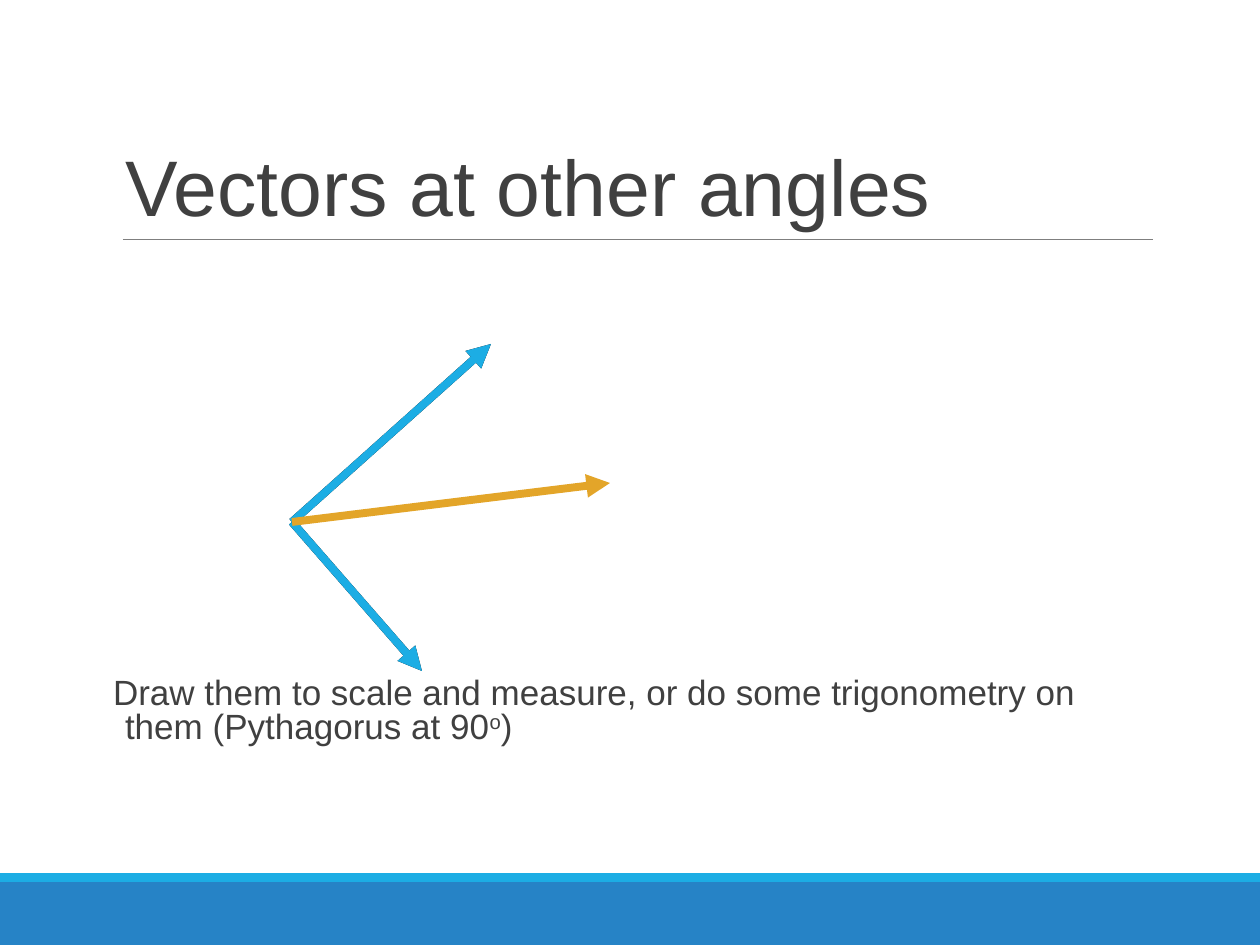
from dataclasses import dataclass

from pptx import Presentation
from pptx.dml.color import RGBColor
from pptx.enum.shapes import MSO_CONNECTOR as Connector, MSO_SHAPE as Shape
from pptx.enum.text import MSO_ANCHOR as Anchor, MSO_AUTO_SIZE as AutoSize, PP_ALIGN as Align
from pptx.oxml.ns import qn
from pptx.oxml.xmlchemy import OxmlElement
from pptx.util import Pt

PX = 914400 / 126  # EMU in one px


def emu(*lengths):
    return [round(length * PX) for length in lengths]


@dataclass(frozen=True)
class Theme:
    font: str = "Arial"
    text: str = "404040"
    rule: str = "7F7F7F"
    band: str = "2683C6"
    accent: str = "1CADE4"
    under: str = "000000"
    resultant: str = "E3A529"
    title_size: int = 45
    body_size: int = 20
    rule_width: float = 0.5
    arrow_width: float = 4.5


class SlideBuilder:
    def __init__(self, deck, theme):
        self.theme = theme
        self.page = deck.slides.add_slide(deck.slide_layouts[1])

    def place(self, box, bounds, anchor, insets):
        box.left, box.top, box.width, box.height = emu(*bounds)
        frame = box.text_frame
        frame.word_wrap = True
        frame.auto_size = AutoSize.NONE
        frame.vertical_anchor = anchor
        (frame.margin_left, frame.margin_top,
         frame.margin_right, frame.margin_bottom) = emu(*insets)
        return frame.paragraphs[0]

    def style(self, span, size):
        span.font.name = self.theme.font
        span.font.size = Pt(size)
        span.font.color.rgb = RGBColor.from_string(self.theme.text)

    def title(self, text, *bounds):
        para = self.place(self.page.shapes.title, bounds, Anchor.BOTTOM, (12, 6, 12, 6))
        para.text = text
        para.alignment = Align.LEFT
        para.line_spacing = 0.85
        self.style(para.runs[0], self.theme.title_size)

    def body(self, parts, *bounds):
        """Parts are (text, superscript percent) pairs of one hanging paragraph."""
        para = self.place(self.page.placeholders[1], bounds, Anchor.TOP, (0, 6, 0, 6))
        props = para._p.get_or_add_pPr()
        hang, = emu(12)
        props.set("marL", str(hang))
        props.set("indent", str(-hang))
        props.append(OxmlElement("a:buNone"))
        para.alignment = Align.LEFT
        para.line_spacing = 0.8
        para.space_before = Pt(0)
        para.space_after = Pt(2)
        for text, raised in parts:
            span = para.add_run()
            span.text = text
            self.style(span, self.theme.body_size)
            if raised:
                span._r.get_or_add_rPr().set("baseline", str(raised * 1000))

    def band(self, color, *bounds):
        shape = self.page.shapes.add_shape(Shape.RECTANGLE, *emu(*bounds))
        shape.shadow.inherit = False
        shape.fill.solid()
        shape.fill.fore_color.rgb = RGBColor.from_string(color)
        shape.line.fill.background()

    def line(self, color, width, start, end):
        line = self.page.shapes.add_connector(Connector.STRAIGHT, *emu(*start, *end))
        line.line.color.rgb = RGBColor.from_string(color)
        line.line.width = Pt(width)
        line._element.spPr.append(OxmlElement("a:effectLst"))
        return line

    def arrow(self, color, start, end):
        arrow = self.line(color, self.theme.arrow_width, start, end)
        head = OxmlElement("a:tailEnd")
        head.set("type", "triangle")
        arrow._element.spPr.find(qn("a:ln")).append(head)


def main():
    deck = Presentation()
    deck.slide_width, deck.slide_height = emu(1260, 945)
    theme = Theme()
    slide = SlideBuilder(deck, theme)

    # Footer bands and title rule
    slide.band(theme.band, 0, 882, 1260, 63)
    slide.band(theme.accent, 0, 873, 1260, 9)
    slide.line(theme.rule, theme.rule_width, (123, 239), (1153, 239))

    # Title and explanation
    slide.title("Vectors at other angles", 113, 39, 1040, 200)
    slide.body([
        ("Draw them to scale and measure, or do some trigonometry on them "
         "(Pythagorus at 90", 0),
        ("o", 30),
        (")", 0),
    ], 113, 673, 1040, 136)

    # Two component vectors, each over a dark underlay, and their resultant
    origin = (292, 522)
    for tip in ((491, 344), (422, 671)):
        for color in (theme.under, theme.accent):
            slide.arrow(color, origin, tip)
    slide.arrow(theme.resultant, origin, (610, 483))

    deck.save("out.pptx")


if __name__ == "__main__":
    main()
